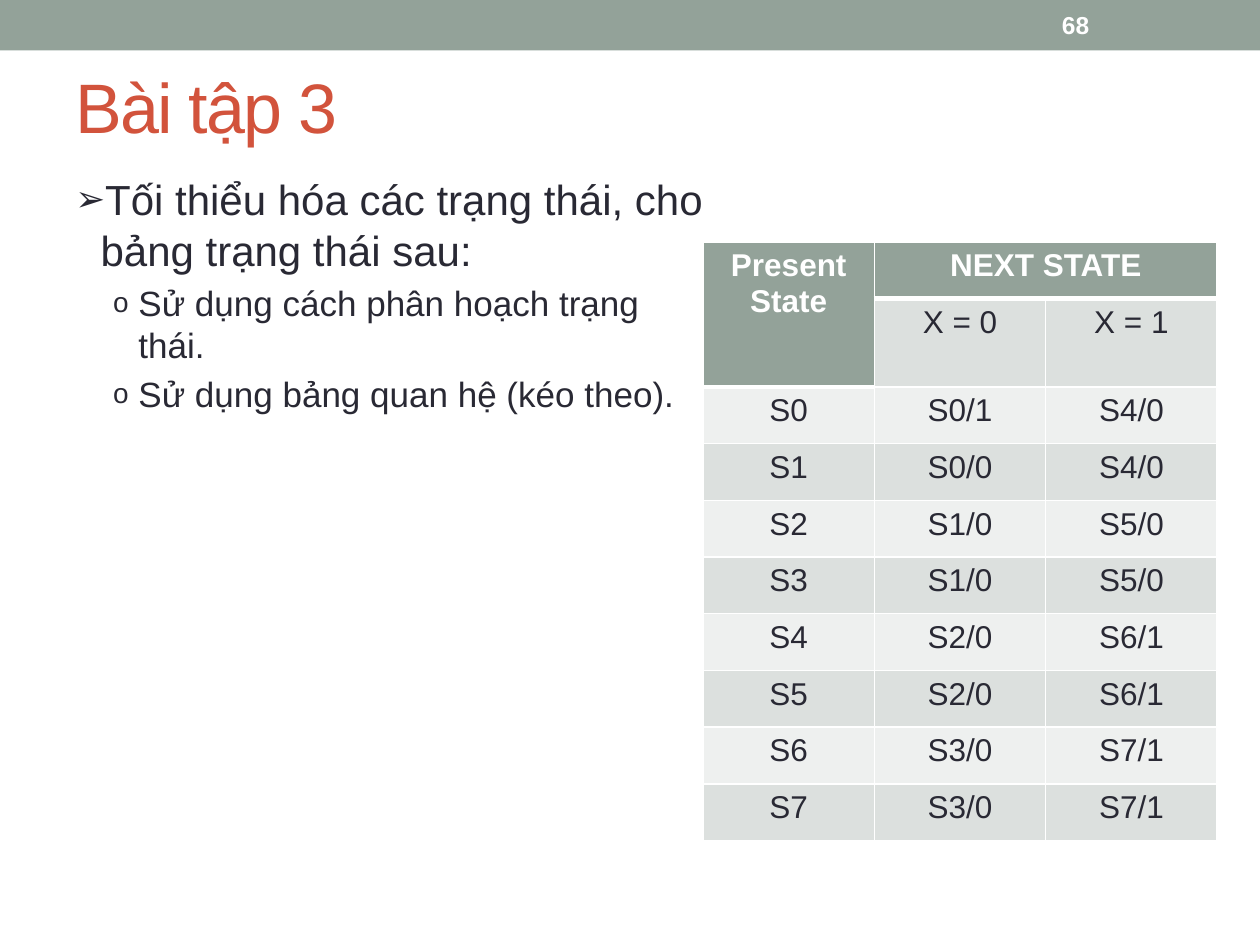
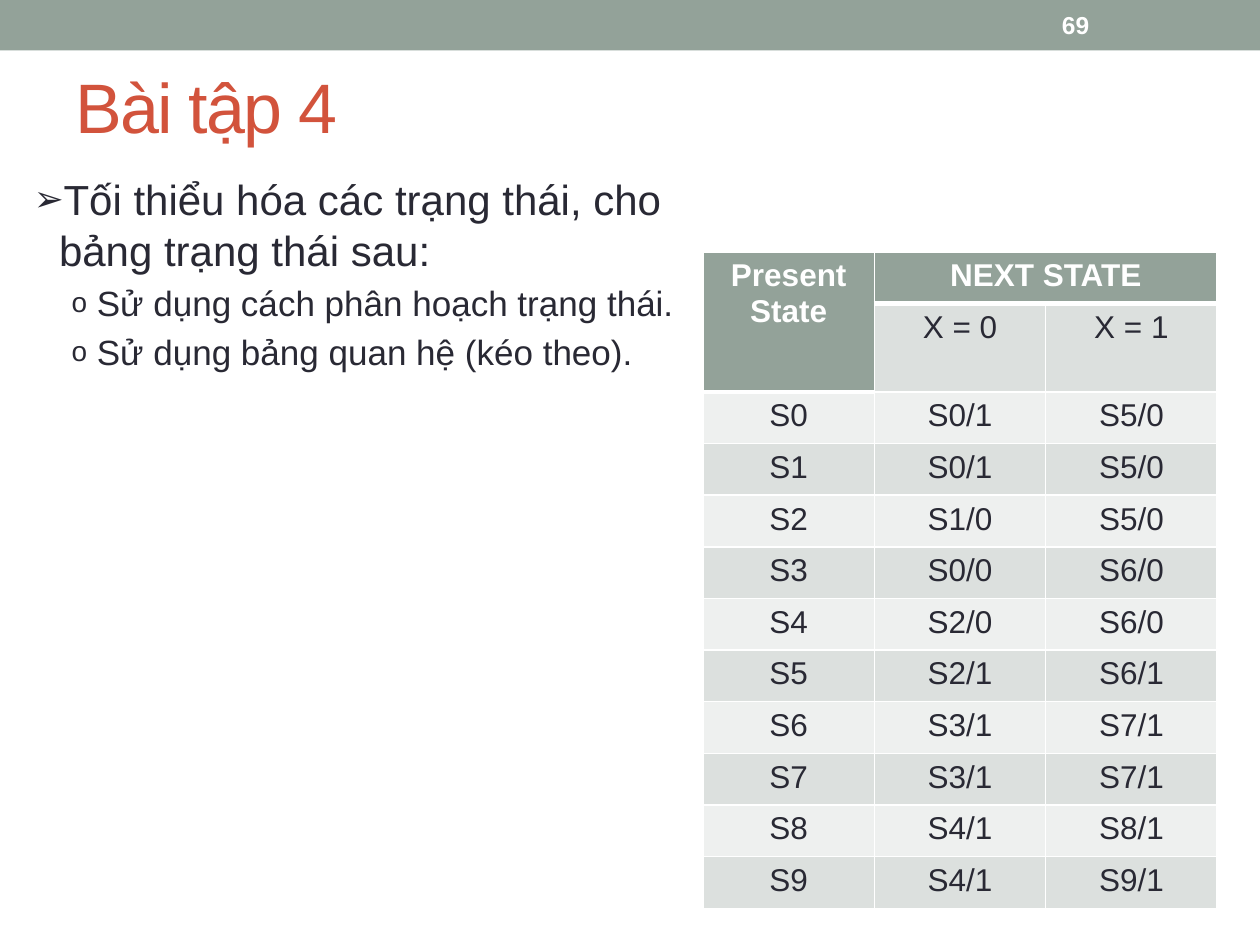
from lxml import etree
from pptx import Presentation
from pptx.dml.color import RGBColor
from pptx.enum.shapes import MSO_SHAPE
from pptx.enum.text import MSO_ANCHOR, PP_ALIGN
from pptx.oxml.ns import qn
from pptx.util import Inches, Pt

RECTANGLE = MSO_SHAPE.RECTANGLE
MIDDLE = MSO_ANCHOR.MIDDLE
TOP = MSO_ANCHOR.TOP
CENTER = PP_ALIGN.CENTER

SAGE = RGBColor(0x93, 0xA2, 0x99)
BRICK = RGBColor(0xD2, 0x53, 0x3C)
INK = RGBColor(0x29, 0x29, 0x34)
WHITE = RGBColor(0xFF, 0xFF, 0xFF)
BAND_DARK = RGBColor(0xDC, 0xE0, 0xDE)
BAND_LIGHT = RGBColor(0xEE, 0xF0, 0xEF)
FONT = "Arial"

COLUMN_WIDTH = 1.36
TABLE_LEFT = 5.58
BODY_TOP = 1.33

TASKS = [
    ("Tối thiểu hóa các trạng thái, cho bảng trạng thái sau:", 24, "➢", 85, 0.2),
    ("Sử dụng cách phân hoạch trạng thái.", 20, "o", 80, 0.5),
    ("Sử dụng bảng quan hệ (kéo theo).", 20, "o", 80, 0.5),
]

EXERCISES = [
    {
        "number": "68",
        "title": "Bài tập 3",
        "body": (0.5, 5.25, 5.75),
        "table_top": 1.92,
        "row_height": 0.45,
        "x0": "S0/1 S0/0 S1/0 S1/0 S2/0 S2/0 S3/0 S3/0",
        "x1": "S4/0 S4/0 S5/0 S5/0 S6/1 S6/1 S7/1 S7/1",
    },
    {
        "number": "69",
        "title": "Bài tập 4",
        "body": (0.17, 5.58, 1.92),
        "table_top": 2,
        "row_height": 0.41,
        "x0": "S0/1 S0/1 S1/0 S0/0 S2/0 S2/1 S3/1 S3/1 S4/1 S4/1",
        "x1": "S5/0 S5/0 S5/0 S6/0 S6/0 S6/1 S7/1 S7/1 S8/1 S9/1",
    },
]


def add_span(para, text, size, color, bold=False):
    span = para.add_run()
    span.text = text
    span.font.name = FONT
    span.font.size = Pt(size)
    span.font.bold = bold
    span.font.color.rgb = color
    return span


def add_box(page, left, top, width, height, anchor):
    box = page.shapes.add_textbox(
        Inches(left), Inches(top), Inches(width), Inches(height))
    box.text_frame.word_wrap = True
    box.text_frame.vertical_anchor = anchor
    return box.text_frame


deck = Presentation()
deck.slide_width = Inches(10)
deck.slide_height = Inches(7.5)

for exercise in EXERCISES:
    page = deck.slides.add_slide(deck.slide_layouts[6])

    band = page.shapes.add_shape(RECTANGLE, 0, 0, deck.slide_width, Inches(0.4))
    band.shadow.inherit = False
    band.fill.solid()
    band.fill.fore_color.rgb = SAGE
    band.line.fill.background()

    title = add_box(page, 0.5, 0.42, 9, 0.83, MIDDLE)
    span = add_span(title.paragraphs[0], exercise["title"], 40, BRICK)
    span.font._element.set("spc", "-100")

    left, width, height = exercise["body"]
    body = add_box(page, left, BODY_TOP, width, height, TOP)
    for index, (text, size, bullet, percent, margin) in enumerate(TASKS):
        para = body.paragraphs[0] if index == 0 else body.add_paragraph()
        para.level = min(index, 1)
        para.space_before = Pt(size * 0.2)
        add_span(para, text, size, INK)
        properties = para._p.get_or_add_pPr()
        properties.set("marL", str(Inches(margin)))
        properties.set("indent", str(Inches(-0.2)))
        etree.SubElement(properties, qn("a:buSzPct"), val=str(percent * 1000))
        etree.SubElement(properties, qn("a:buFont"), typeface=FONT)
        etree.SubElement(properties, qn("a:buChar"), char=bullet)

    number = add_box(page, 8.33, 0.02, 1.17, 0.36, MIDDLE)
    add_span(number.paragraphs[0], exercise["number"], 14, WHITE, True)

    outcomes = zip(exercise["x0"].split(), exercise["x1"].split())
    rows = [["Present\nState", "NEXT STATE", ""], ["", "X = 0", "X = 1"]]
    rows += [[f"S{state}", *pair] for state, pair in enumerate(outcomes)]
    row_height = exercise["row_height"]
    table = page.shapes.add_table(
        len(rows), 3, Inches(TABLE_LEFT), Inches(exercise["table_top"]),
        Inches(3 * COLUMN_WIDTH), Inches(len(rows) * row_height)).table
    table.horz_banding = False
    for column in table.columns:
        column.width = Inches(COLUMN_WIDTH)
    for row in table.rows:
        row.height = Inches(row_height)
    table.cell(0, 0).merge(table.cell(1, 0))
    table.cell(0, 1).merge(table.cell(0, 2))

    for row, texts in enumerate(rows):
        for column, text in enumerate(texts):
            cell = table.cell(row, column)
            last_header = 1 if column == 0 else 0
            is_header = row <= last_header
            borders = {
                "lnL": 1,
                "lnR": 1,
                "lnT": 3 if row == last_header + 1 else 1,
                "lnB": 3 if is_header else 1,
            }
            cell_properties = cell._tc.get_or_add_tcPr()
            for side, points in borders.items():
                line = etree.SubElement(
                    cell_properties, qn(f"a:{side}"), w=str(Pt(points)))
                fill = etree.SubElement(line, qn("a:solidFill"))
                etree.SubElement(fill, qn("a:srgbClr"), val=str(WHITE))
            cell.fill.solid()
            band_color = BAND_DARK if row % 2 else BAND_LIGHT
            cell.fill.fore_color.rgb = SAGE if is_header else band_color
            if cell.is_spanned:
                continue
            para = cell.text_frame.paragraphs[0]
            para.alignment = CENTER
            for index, part in enumerate(text.split("\n")):
                if index:
                    para.add_line_break()
                add_span(para, part, 18, WHITE if is_header else INK, is_header)

deck.save("out.pptx")
